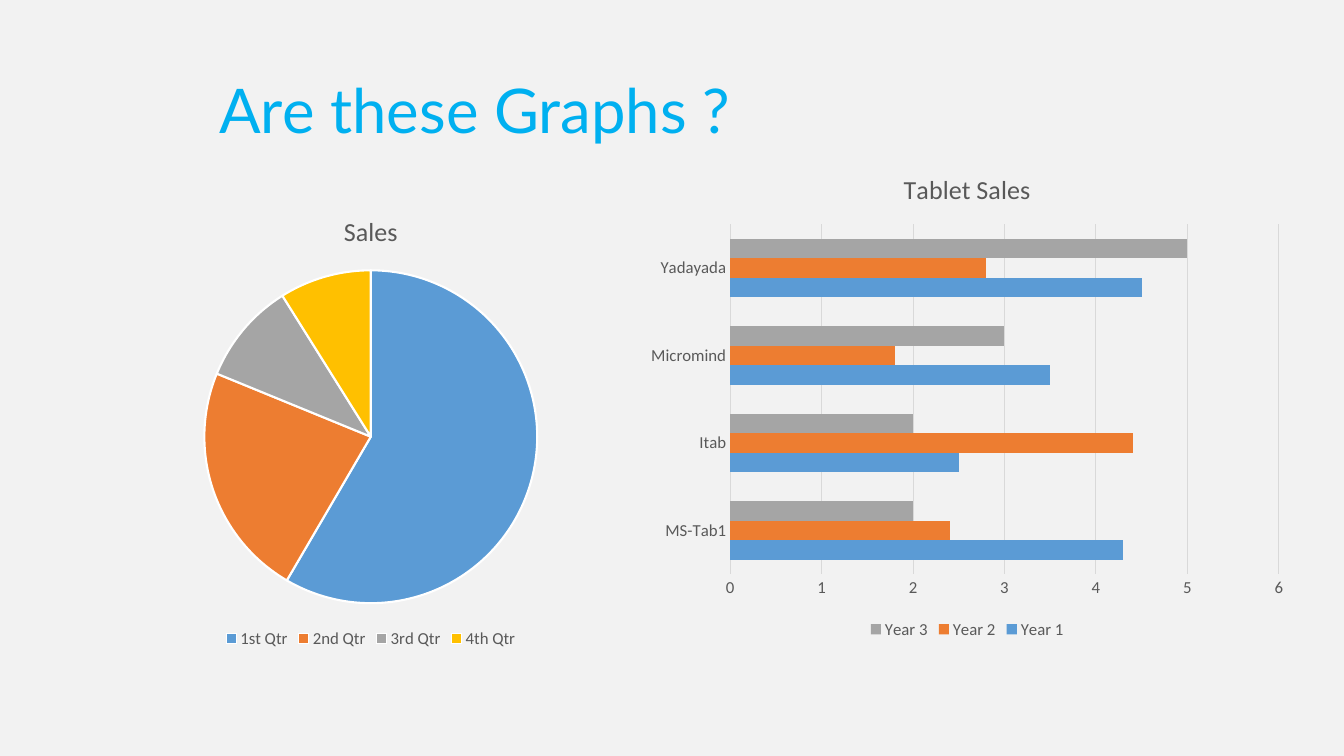
"""Build a slide with a pie chart of sales and a bar chart of tablet sales."""
from pptx import Presentation
from pptx.chart.data import CategoryChartData
from pptx.dml.color import RGBColor
from pptx.enum.chart import XL_CHART_TYPE, XL_LEGEND_POSITION, XL_TICK_MARK
from pptx.enum.text import MSO_ANCHOR
from pptx.util import Cm, Pt

BACKGROUND = RGBColor(0xF2, 0xF2, 0xF2)
TITLE_BLUE = RGBColor(0x00, 0xB0, 0xF0)
TEXT_GRAY = RGBColor(0x59, 0x59, 0x59)
GRID_GRAY = RGBColor(0xD9, 0xD9, 0xD9)
WHITE = RGBColor(0xFF, 0xFF, 0xFF)
BLUE = RGBColor(0x5B, 0x9B, 0xD5)
ORANGE = RGBColor(0xED, 0x7D, 0x31)
GRAY = RGBColor(0xA5, 0xA5, 0xA5)
GOLD = RGBColor(0xFF, 0xC0, 0x00)
PALETTE = [BLUE, ORANGE, GRAY, GOLD]


def set_font(font, size, color=TEXT_GRAY, name="Calibri"):
    for key, value in {"name": name, "size": Pt(size), "bold": False}.items():
        setattr(font, key, value)
    font.color.rgb = color


def add_sales_chart(kind, title, box, categories, series):
    data = CategoryChartData()
    data.categories = categories
    for name, values in series.items():
        data.add_series(name, values)
    chart = s.shapes.add_chart(kind, *[Cm(v) for v in box], data).chart
    set_font(chart.font, 12)
    chart.has_title = True
    tf = chart.chart_title.text_frame
    tf.text = title
    set_font(tf.paragraphs[0].runs[0].font, 18.6)
    chart.has_legend = True
    legend = {"position": XL_LEGEND_POSITION.BOTTOM, "include_in_layout": False}
    for key, value in legend.items():
        setattr(chart.legend, key, value)
    set_font(chart.legend.font, 12)
    return chart


prs = Presentation()
prs.slide_width, prs.slide_height = Cm(33.87), Cm(19.05)
s = prs.slides.add_slide(prs.slide_layouts[6])
s.background.fill.solid()
s.background.fill.fore_color.rgb = BACKGROUND

tf = s.shapes.add_textbox(Cm(5.28), Cm(1.02), Cm(28.5), Cm(3.68)).text_frame
for key, value in {"word_wrap": True, "vertical_anchor": MSO_ANCHOR.MIDDLE}.items():
    setattr(tf, key, value)
p = tf.paragraphs[0]
p.line_spacing = 0.9
r = p.add_run()
r.text = "Are these Graphs ?"
set_font(r.font, 44, TITLE_BLUE, "Lato")

pie = add_sales_chart(
    XL_CHART_TYPE.PIE, "Sales", (1.27, 4.88, 16.15, 11.56),
    ["1st Qtr", "2nd Qtr", "3rd Qtr", "4th Qtr"],
    {"Sales": [59, 23, 10, 9]})
pie.plots[0].vary_by_categories = True
for i, color in enumerate(PALETTE):
    fmt = pie.plots[0].series[0].points[i].format
    fmt.fill.solid()
    fmt.fill.fore_color.rgb = color
    fmt.line.color.rgb = WHITE
    fmt.line.width = Pt(1.5)

bar = add_sales_chart(
    XL_CHART_TYPE.BAR_CLUSTERED, "Tablet Sales", (16.08, 3.81, 16.59, 12.4),
    ["MS-Tab1", "Itab", "Micromind", "Yadayada"],
    {"Year 1": [4.3, 2.5, 3.5, 4.5],
     "Year 2": [2.4, 4.4, 1.8, 2.8],
     "Year 3": [2, 2, 3, 5]})
for key, value in {"vary_by_categories": False, "gap_width": 150, "overlap": 0}.items():
    setattr(bar.plots[0], key, value)
for series, color in zip(bar.plots[0].series, PALETTE):
    series.format.fill.solid()
    series.format.fill.fore_color.rgb = color

for axis in (bar.category_axis, bar.value_axis):
    for key in ("major_tick_mark", "minor_tick_mark"):
        setattr(axis, key, XL_TICK_MARK.NONE)
    axis.format.line.fill.background()
    set_font(axis.tick_labels.font, 12)
scale = {"minimum_scale": 0, "maximum_scale": 6, "major_unit": 1,
         "has_major_gridlines": True}
for key, value in scale.items():
    setattr(bar.value_axis, key, value)
grid = bar.value_axis.major_gridlines.format.line
grid.color.rgb = GRID_GRAY
grid.width = Pt(0.75)

prs.save("out.pptx")
